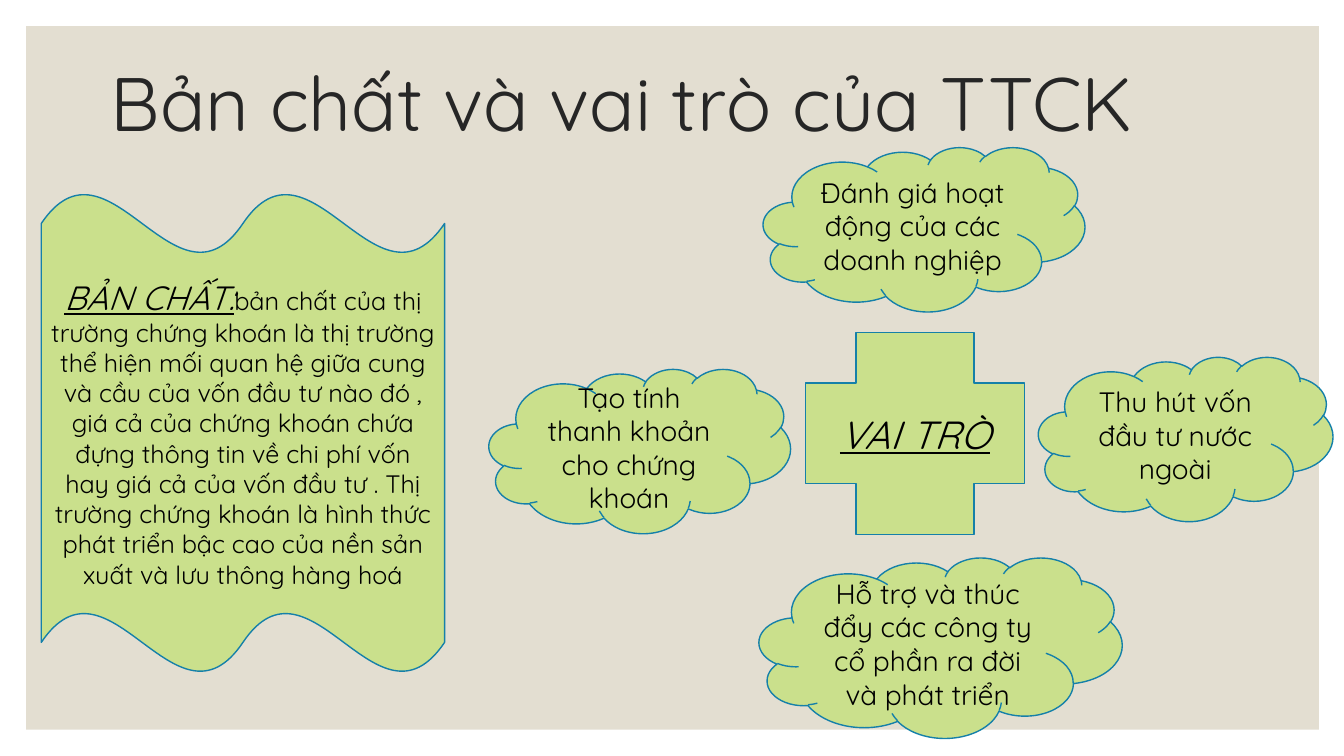
from pptx import Presentation
from pptx.dml.color import RGBColor
from pptx.enum.shapes import MSO_SHAPE
from pptx.enum.text import MSO_ANCHOR, PP_ALIGN
from pptx.util import Inches, Pt

SAND = RGBColor(0xE3, 0xDE, 0xD1)
GREEN = RGBColor(0xCA, 0xE0, 0x8C)
BLUE = RGBColor(0x15, 0x80, 0xA9)
DARK = RGBColor(0x26, 0x26, 0x26)
BLACK = RGBColor(0, 0, 0)
FONT = "Quicksand"

deck = Presentation()
deck.slide_width = Inches(13.33)
deck.slide_height = Inches(7.5)
slide = deck.slides.add_slide(deck.slide_layouts[5])


def add_box(kind, box, text, size):
    shape = slide.shapes.add_shape(kind, *map(Inches, box))
    shape.shadow.inherit = False
    shape.fill.solid()
    shape.fill.fore_color.rgb = GREEN
    shape.line.color.rgb = BLUE
    shape.line.width = Pt(1)
    frame = shape.text_frame
    frame.word_wrap = True
    frame.vertical_anchor = MSO_ANCHOR.MIDDLE
    para = frame.paragraphs[0]
    para.alignment = PP_ALIGN.CENTER
    para.font.name = FONT
    para.font.size = Pt(size)
    para.font.color.rgb = BLACK
    para.add_run().text = text
    return para


def stress(run):
    run.font.italic = True
    run.font.underline = True


# Background panel, behind the title
panel = slide.shapes.add_shape(
    MSO_SHAPE.RECTANGLE, Inches(0.26), Inches(0.26), Inches(12.82), Inches(6.98))
panel.shadow.inherit = False
panel.fill.solid()
panel.fill.fore_color.rgb = SAND
panel.line.fill.background()
slide.shapes.title.element.addprevious(panel.element)

# Title
title = slide.shapes.title
title.left, title.top = Inches(1), Inches(0.31)
title.width, title.height = Inches(11), Inches(1.5)
title.text_frame.text = "Bản chất và vai trò của TTCK"
title.text_frame.vertical_anchor = MSO_ANCHOR.MIDDLE
head = title.text_frame.paragraphs[0]
head.alignment = PP_ALIGN.LEFT
head.line_spacing = 0.9
head.font.name = FONT
head.font.size = Pt(54)
head.font.color.rgb = DARK

# Nature of the market
nature = add_box(MSO_SHAPE.DOUBLE_WAVE, (0.41, 1.92, 4, 4.75), "BẢN CHẤT:", 18)
stress(nature.runs[0])
nature.runs[0].font.size = Pt(24)
nature.add_run().text = (
    "bản chất của thị trường chứng khoán là thị trường thể hiện mối quan hệ "
    "giữa cung và cầu của vốn đầu tư nào đó , giá cả của chứng khoán chứa đựng "
    "thông tin về chi phí vốn hay giá cả của vốn đầu tư . Thị trường chứng "
    "khoán là hình thức phát triển bậc cao của nền sản xuất và lưu thông hàng hoá")

# Role in the centre
role = add_box(MSO_SHAPE.CROSS, (7.99, 3.3, 2.17, 2), "VAI TRÒ", 28)
stress(role.runs[0])

# Clouds around the role
clouds = [
    ((7.57, 1.46, 3.19, 1.63), "Đánh giá hoạt động của các doanh nghiệp"),
    ((10.3, 3.54, 2.92, 1.63), "Thu hút vốn đầu tư nước ngoài"),
    ((7.53, 5.53, 3.6, 1.79),
     "Hỗ trợ và thúc đẩy các công ty cổ phần ra đời và phát triển"),
    ((4.85, 3.66, 2.99, 1.63), "Tạo tính thanh khoản cho chứng khoán"),
]
for box, text in clouds:
    add_box(MSO_SHAPE.CLOUD, box, text, 20)

deck.save("out.pptx")
